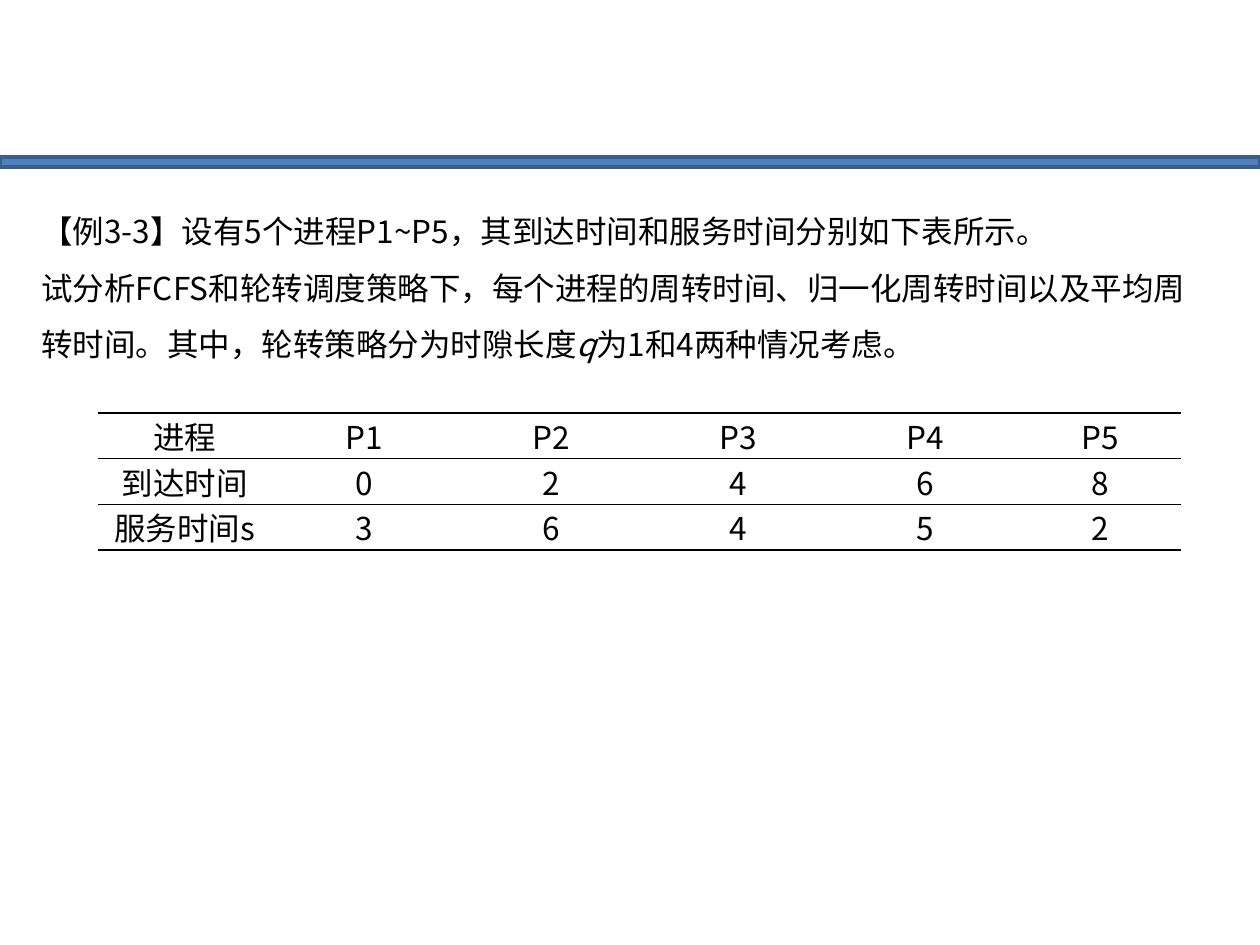
from dataclasses import dataclass

from lxml import etree
from pptx import Presentation
from pptx.dml.color import RGBColor
from pptx.enum.shapes import MSO_SHAPE
from pptx.enum.text import MSO_ANCHOR, MSO_AUTO_SIZE, PP_ALIGN
from pptx.oxml.ns import qn
from pptx.util import Emu, Pt

RECT = MSO_SHAPE.RECTANGLE
MIDDLE = MSO_ANCHOR.MIDDLE
GROW = MSO_AUTO_SIZE.SHAPE_TO_FIT_TEXT
CENTER = PP_ALIGN.CENTER

FONT = "Noto Sans CJK SC"
COLORS = {"text": "000000", "rule": "000000", "bar": "4F81BD", "bar_edge": "3A5F8C"}
PX_PER_INCH = 126


@dataclass
class Box:
    x: int
    y: int
    w: int
    h: int


@dataclass
class Span:
    text: str
    italic: bool = False


BAR = Box(0, 157, 1260, 10)
EXAMPLE = Box(29, 186, 1191, 184)
TABLE = Box(98, 413, 1083, 135)
COL_WIDTHS = [173, 187, 187, 187, 187, 162]
CELL_MARGIN = 9

PARAGRAPHS = [
    [Span("【例3-3】设有5个进程P1~P5，其到达时间和服务时间分别如下表所示。")],
    [
        Span("试分析FCFS和轮转调度策略下，每个进程的周转时间、归一化周转时间以及"
             "平均周转时间。其中，轮转策略分为时隙长度"),
        Span("q", italic=True),
        Span("为1和4两种情况考虑。"),
    ],
]
ROWS = [
    ["进程", "P1", "P2", "P3", "P4", "P5"],
    ["到达时间", "0", "2", "4", "6", "8"],
    ["服务时间s", "3", "6", "4", "5", "2"],
]


def px(n: int) -> Emu:
    return Emu(round(n * 914400 / PX_PER_INCH))


def place(box: Box) -> tuple:
    return px(box.x), px(box.y), px(box.w), px(box.h)


def color(name: str) -> RGBColor:
    return RGBColor.from_string(COLORS[name])


def set_font(p) -> None:
    """Give a paragraph its size, colour, and Latin and East Asian typeface."""
    p.font.size = Pt(18)
    p.font.color.rgb = color("text")
    p.font.name = FONT
    props = p._p.pPr.find(qn("a:defRPr"))
    etree.SubElement(props, qn("a:ea"), typeface=FONT)


def add_bar(s, box: Box) -> None:
    sp = s.shapes.add_shape(RECT, *place(box))
    sp.shadow.inherit = False
    sp.fill.solid()
    sp.fill.fore_color.rgb = color("bar")
    sp.line.color.rgb = color("bar_edge")
    sp.line.width = Pt(2)


def add_text(s, box: Box, paragraphs: list[list[Span]]) -> None:
    tf = s.shapes.add_textbox(*place(box)).text_frame
    tf.word_wrap = True
    tf.auto_size = GROW
    tf.vertical_anchor = MIDDLE
    for i, spans in enumerate(paragraphs):
        p = tf.add_paragraph() if i else tf.paragraphs[0]
        p.line_spacing = 1.5
        set_font(p)
        for span in spans:
            r = p.add_run()
            r.text = span.text
            if span.italic:
                r.font.italic = True


def set_borders(cell) -> None:
    """Rule the cell above and below, with open sides."""
    props = cell._tc.get_or_add_tcPr()
    for side in ("lnL", "lnR"):
        etree.SubElement(etree.SubElement(props, qn(f"a:{side}")), qn("a:noFill"))
    for side in ("lnT", "lnB"):
        ln = etree.SubElement(props, qn(f"a:{side}"), w=str(Pt(1)))
        fill = etree.SubElement(ln, qn("a:solidFill"))
        etree.SubElement(fill, qn("a:srgbClr"), val=COLORS["rule"])


def add_table(s, box: Box, rows: list[list[str]], widths: list[int]) -> None:
    table = s.shapes.add_table(len(rows), len(widths), *place(box)).table
    table.first_row = table.horz_banding = False
    for column, width in zip(table.columns, widths):
        column.width = px(width)
    for i, row in enumerate(rows):
        for j, text in enumerate(row):
            cell = table.cell(i, j)
            set_borders(cell)
            cell.fill.background()
            cell.margin_left = cell.margin_right = px(CELL_MARGIN)
            cell.margin_top = cell.margin_bottom = 0
            p = cell.text_frame.paragraphs[0]
            p.alignment = CENTER
            set_font(p)
            p.add_run().text = text


def main() -> None:
    prs = Presentation()
    prs.slide_width, prs.slide_height = px(1260), px(945)
    s = prs.slides.add_slide(prs.slide_layouts[6])
    add_bar(s, BAR)
    add_table(s, TABLE, ROWS, COL_WIDTHS)
    add_text(s, EXAMPLE, PARAGRAPHS)
    prs.save("out.pptx")


if __name__ == "__main__":
    main()
